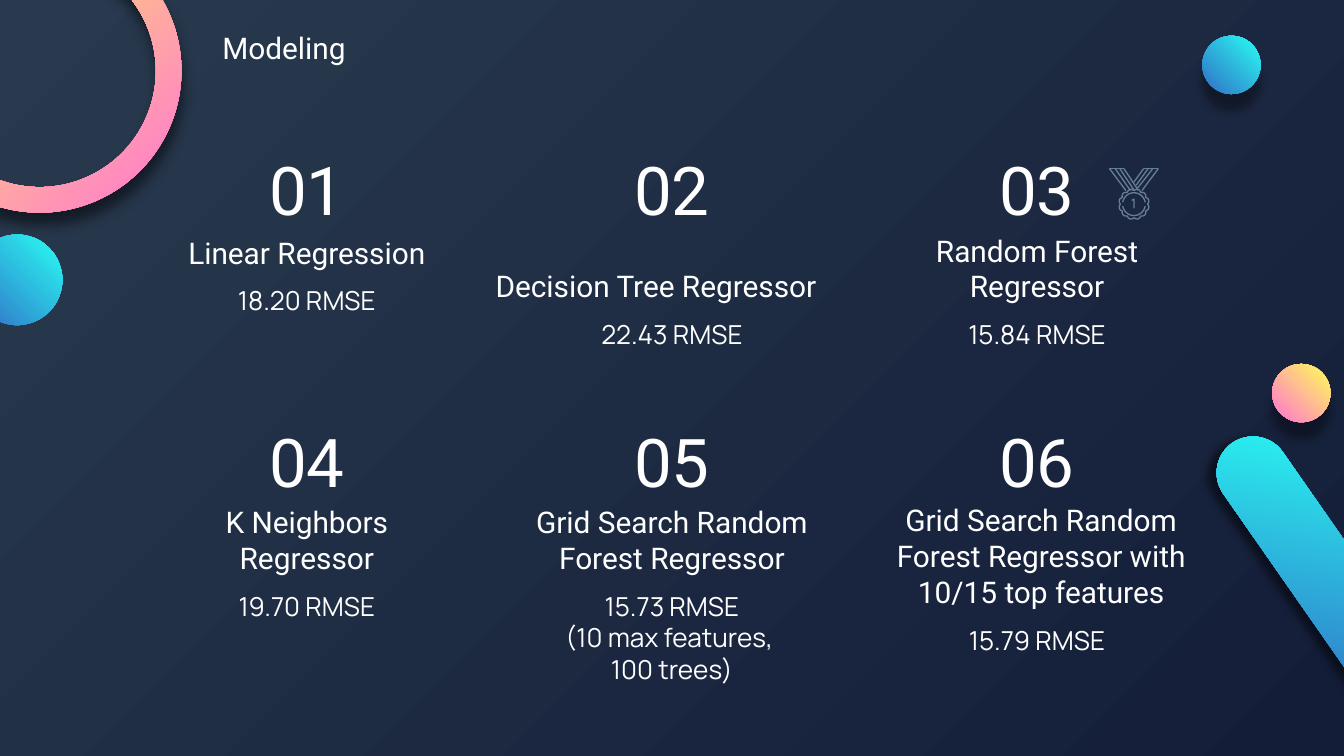
from math import cos, radians, sin

from lxml import etree
from pptx import Presentation
from pptx.dml.color import RGBColor
from pptx.enum.shapes import MSO_SHAPE as Preset
from pptx.enum.text import MSO_ANCHOR as Anchor, MSO_AUTO_SIZE as AutoSize, PP_ALIGN as Align
from pptx.oxml.ns import qn
from pptx.util import Pt

# Content: (name, lines reserved for it, score lines, name width, name shift)
TITLE = "Modeling"
MODELS = [
    ("Linear Regression", 1, ["18.20 RMSE"], 172, 0),
    ("Decision Tree Regressor", 2, ["22.43 RMSE"], 190, -8.6),
    ("Random Forest Regressor", 2, ["15.84 RMSE"], 172, 0),
    ("K Neighbors Regressor", 2, ["19.70 RMSE"], 172, 0),
    ("Grid Search Random Forest Regressor", 2,
     ["15.73 RMSE", "(10 max features, ", "100 trees)"], 172, 0),
    ("Grid Search Random Forest Regressor with 10/15 top features", 3,
     ["15.79 RMSE"], 185, 2.2),
]
WHITE, MEDAL = "FFFFFF", "657E93"
NIGHT = ("293A4E", "131D38")
PINK = ("FF74D2", "FFFF56")
BLUE = ("316DC5", "29FFF4")

# Decorations: preset, adjustments, box, rotation, gradient,
# shadow (opacity %, blur, distance, angle)
DROP = (34, 4.5, 9, 90)
DECORATIONS = [
    (Preset.DONUT, [0.09], (-54.7, -38, 151.9, 151.9), 270, PINK, (50, 6.8, 6.8, 85)),
    (Preset.ROUND_2_SAME_RECTANGLE, [0.5, 0], (685.6, 223.2, 38.9, 157), 325.1, BLUE,
     (50, 4.5, 5.2, 161)),
    (Preset.OVAL, [], (-15.1, 125.7, 48.5, 48.5), 0, BLUE, None),
    (Preset.OVAL, [], (681.5, 195, 31.2, 31.2), 0, PINK, DROP),
    (Preset.OVAL, [], (644.1, 19.2, 31.2, 31.2), 0, BLUE, DROP),
]

# Grid of models
COLUMNS, FIRST_CENTRE, COLUMN_STEP = 3, 164.4, 195.6
FIRST_TOP, ROW_STEP = 74.5, 145.5
NAME_DROP, LINE_STEP, SCORE_DROP = 46.4, 18.1, 24.5


def colour(hex_text):
    return RGBColor.from_string(hex_text)


def gradient(fill, stops, angle):
    fill.gradient()
    fill.gradient_angle = angle
    for stop, hex_text in zip(fill.gradient_stops, stops):
        stop.color.rgb = colour(hex_text)


def cast_shadow(shape, opacity, blur, distance, angle):
    effects = shape._element.spPr.find(qn("a:effectLst"))
    outer = etree.SubElement(effects, qn("a:outerShdw"), blurRad=str(Pt(blur)),
                             dist=str(Pt(distance)), dir=str(angle * 60000),
                             algn="bl", rotWithShape="0")
    black = etree.SubElement(outer, qn("a:srgbClr"), val="000000")
    etree.SubElement(black, qn("a:alpha"), val=str(opacity * 1000))


def write(holder, lines, size, font, align, anchor):
    frame = holder.text_frame
    frame.word_wrap = True
    frame.auto_size = AutoSize.NONE
    frame.vertical_anchor = anchor
    frame.margin_left = frame.margin_right = Pt(7.2)
    frame.margin_top = frame.margin_bottom = Pt(7.2)
    for index, line in enumerate(lines):
        paragraph = frame.add_paragraph() if index else frame.paragraphs[0]
        paragraph.alignment = align
        run = paragraph.add_run()
        run.text = line
        run.font.size = Pt(size)
        run.font.name = font
        run.font.color.rgb = colour(WHITE)


def centred_box(centre, top, width, height, lines, size, font, anchor):
    box = slide.shapes.add_textbox(Pt(centre - width / 2), Pt(top), Pt(width), Pt(height))
    write(box, lines, size, font, Align.CENTER, anchor)


def stroke(points, closed=False):
    start, *rest = [(Pt(607.5 + x), Pt(109.4 + y)) for x, y in points]
    builder = slide.shapes.build_freeform(*start)
    builder.add_line_segments(rest, close=closed)
    shape = builder.convert_to_shape()
    shape.shadow.inherit = False
    shape.fill.background()
    shape.line.color.rgb = colour(MEDAL)
    shape.line.width = Pt(0.7)


def polar(radius, degrees):
    return radius * cos(radians(degrees)), radius * sin(radians(degrees))


deck = Presentation()
deck.slide_width, deck.slide_height = Pt(720), Pt(405)
slide = deck.slides.add_slide(deck.slide_layouts[5])
gradient(slide.background.fill, NIGHT, 315)

# Decorations
for preset, adjustments, box, rotation, stops, shadow in DECORATIONS:
    shape = slide.shapes.add_shape(preset, *map(Pt, box))
    for index, value in enumerate(adjustments):
        shape.adjustments[index] = value
    shape.rotation = rotation
    gradient(shape.fill, stops, 45)
    shape.line.fill.background()
    shape.shadow.inherit = False
    if shadow:
        cast_shadow(shape, *shadow)

# Title
title = slide.shapes.title
title.left, title.top, title.width, title.height = map(Pt, (111.9, 8.6, 578.9, 41.8))
write(title, [TITLE], 16, "Roboto", Align.LEFT, Anchor.TOP)

# Models
for index, (name, reserved, scores, width, shift) in enumerate(MODELS):
    row, column = divmod(index, COLUMNS)
    centre = FIRST_CENTRE + column * COLUMN_STEP
    top = FIRST_TOP + row * ROW_STEP
    name_top = top + NAME_DROP + (reserved - 1) * LINE_STEP
    centred_box(centre, top, 125.3, 55.4, [f"{index + 1:02}"], 36, "Roboto", Anchor.BOTTOM)
    centred_box(centre + shift, name_top, width, 31, [name], 16, "Roboto", Anchor.BOTTOM)
    centred_box(centre, name_top + SCORE_DROP, 172, 45.4, scores, 14, "Manrope", Anchor.TOP)

# Medal: ribbons, scalloped rim, inner arcs and numeral, around its centre
RIBBON_TOP = -19.1
RIBBONS = [
    [(-13.1, -4.3, -7.3), (-10.1, -1.9, -7.3), (-7.6, 0, -7.6), (-5.4, 2.2, -7.6)],
    [(13.1, 4.3, -7.3), (10.1, 2, -8.7), (7.6, 1.2, -10.2), (5.2, 0, -11.9)],
]
for ribbon in RIBBONS:
    stroke([(ribbon[0][0], RIBBON_TOP), (ribbon[-1][0], RIBBON_TOP)])
    for top_x, end_x, end_y in ribbon:
        stroke([(top_x, RIBBON_TOP), (end_x, end_y)])
stroke([polar(7.3 + 0.9 * abs(sin(radians(6 * a))), a) for a in range(0, 360, 5)], closed=True)
for first, last in ((190, 350), (10, 170)):
    stroke([polar(6.1, a) for a in range(first, last + 1, 10)])
stroke([(-1.2, -2), (0, -2.7), (0, 2.2)])

deck.save("out.pptx")
